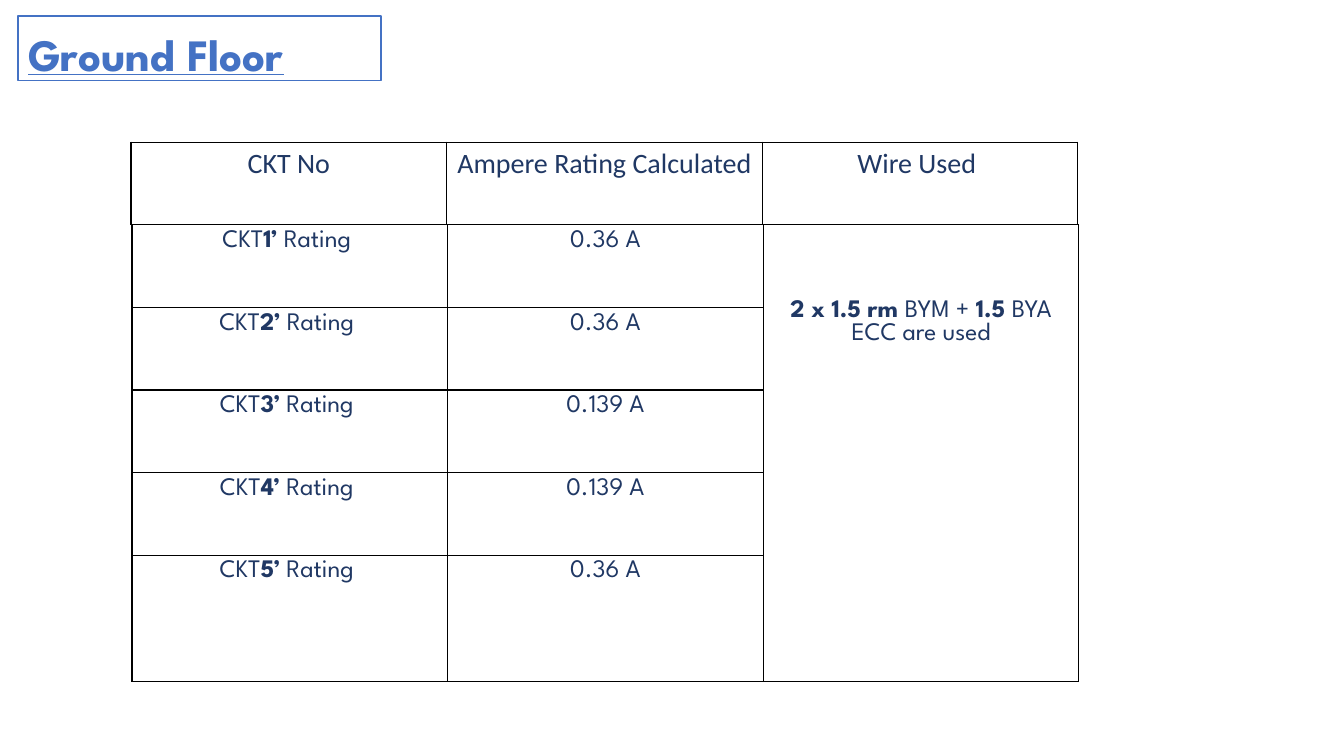
import pptx
import pptx.util
import pptx.dml.color
import pptx.enum.shapes
import pptx.enum.text
import pptx.oxml
import pptx.oxml.ns

PX = 9144  # 100 px to the inch
NAVY, BLUE, BLACK, WHITE = "203864", "4472C4", "000000", "FFFFFF"
HEADS = ["CKT No", "Ampere Rating Calculated", "Wire Used "]
AMPS = ["0.36 A", "0.36 A", "0.139 A", "0.139 A", "0.36 A"]
WIRE = [("2 x 1.5 rm ", True), ("BYM + ", False),
        ("1.5 ", True), ("BYA ECC are used", False)]


def px(*sizes):
    return [pptx.util.Emu(size * PX) for size in sizes]


def color(code):
    return pptx.dml.color.RGBColor.from_string(code)


def write(frame, parts, size=18, font="League Spartan", ink=NAVY,
          line=False, align="CENTER"):
    """Fill a frame with one paragraph of (text, bold) parts."""
    par = frame.paragraphs[0]
    par.alignment = getattr(pptx.enum.text.PP_ALIGN, align)
    for text, bold in parts:
        run = par.add_run()
        run.text = text
        run.font.size = pptx.util.Pt(size)
        run.font.name = font
        run.font.bold = bold
        run.font.underline = line
        run.font.color.rgb = color(ink)
    return par


def border(cell):
    props = cell._tc.get_or_add_tcPr()
    for i, side in enumerate(["lnL", "lnR", "lnT", "lnB"]):
        props.insert(i, pptx.oxml.parse_xml(
            f'<a:{side} {pptx.oxml.ns.nsdecls("a")} w="12700">'
            f'<a:solidFill><a:srgbClr val="{BLACK}"/></a:solidFill></a:{side}>'))


def grid(slide, box, rows, cols):
    """Add a plain table with equal rows and columns."""
    left, top, width, height = box
    table = slide.shapes.add_table(rows, cols, *px(*box)).table
    table.first_row = table.horz_banding = False
    for col in table.columns:
        col.width = px(width // cols)[0]
    for row in table.rows:
        row.height = px(height // rows)[0]
    for cell in table.iter_cells():
        cell.fill.background()
        border(cell)
    return table


def title(slide, box):
    shape = slide.shapes.add_shape(
        pptx.enum.shapes.MSO_SHAPE.RECTANGLE, *px(*box))
    shape.shadow.inherit = False
    shape.fill.solid()
    shape.fill.fore_color.rgb = color(WHITE)
    shape.line.color.rgb = color(BLUE)
    shape.line.width = pptx.util.Pt(1)
    frame = shape.text_frame
    frame.word_wrap = True
    frame.vertical_anchor = pptx.enum.text.MSO_ANCHOR.TOP
    frame.margin_top, frame.margin_bottom = px(6, 0)
    par = write(frame, [("Ground Floor", True)], size=32, ink=BLUE,
                line=True, align="LEFT")
    par.line_spacing = 1.09


def ratings(slide, box):
    table = grid(slide, box, len(AMPS), 3)
    for i, amp in enumerate(AMPS):
        name = [("CKT", False), (f"{i + 1}’", True), (" Rating ", False)]
        write(table.cell(i, 0).text_frame, name)
        write(table.cell(i, 1).text_frame, [(amp, False)])
    # One wire note spans all circuits
    note = table.cell(0, 2)
    note.merge(table.cell(len(AMPS) - 1, 2))
    note.margin_top = px(74)[0]
    write(note.text_frame, WIRE)


def header(slide, box):
    table = grid(slide, box, 1, len(HEADS))
    for i, head in enumerate(HEADS):
        write(table.cell(0, i).text_frame, [(head, False)],
              size=20, font="Calibri")


def main():
    deck = pptx.Presentation()
    deck.slide_width, deck.slide_height = px(1333, 750)
    slide = deck.slides.add_slide(deck.slide_layouts[6])
    ratings(slide, (131, 223, 939, 410))
    header(slide, (130, 141, 939, 82))
    title(slide, (18, 16, 360, 64))
    deck.save("out.pptx")


if __name__ == "__main__":
    main()
